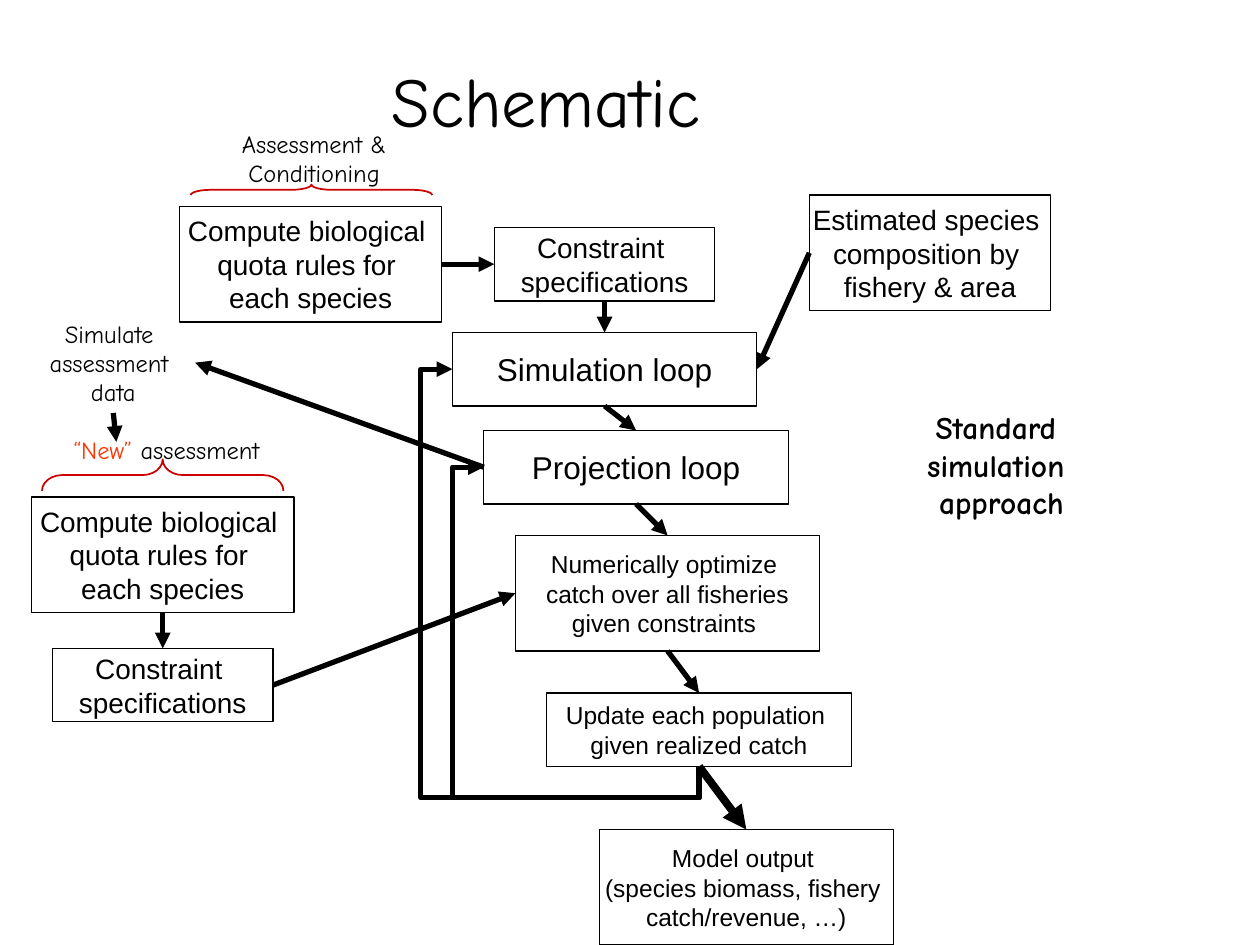
from lxml.etree import SubElement
from pptx import Presentation
from pptx.dml.color import RGBColor
from pptx.enum.shapes import MSO_CONNECTOR, MSO_SHAPE
from pptx.enum.text import MSO_ANCHOR, MSO_AUTO_SIZE, PP_ALIGN
from pptx.oxml.ns import qn
from pptx.util import Pt

COLORS = {"ink": "000000", "brace": "CC0000", "new": "FF3300"}
TOP, LEFT, BOTTOM, RIGHT = range(4)
QUOTA_RULES = "Compute biological \nquota rules for \neach species"
CONSTRAINTS = "Constraint \vspecifications"


def color(name):
    return RGBColor.from_string(COLORS[name])


def format_text(frame, size, font, bold=False):
    for paragraph in frame.paragraphs:
        paragraph.alignment = PP_ALIGN.CENTER
        for run in paragraph.runs:
            run.font.size = Pt(size)
            run.font.name = font
            run.font.bold = bold
            run.font.color.rgb = color("ink")


def add_step(slide, text, left, top, width, height, size):
    step = slide.shapes.add_shape(
        MSO_SHAPE.RECTANGLE, Pt(left), Pt(top), Pt(width), Pt(height))
    step.shadow.inherit = False
    step.fill.background()
    step.line.color.rgb = color("ink")
    step.line.width = Pt(0.75)
    frame = step.text_frame
    frame.text = text
    frame.word_wrap = False
    frame.vertical_anchor = MSO_ANCHOR.MIDDLE
    format_text(frame, size, "Arial")
    return step


def add_label(slide, text, left, top, width, height, size=14, bold=False):
    label = slide.shapes.add_textbox(Pt(left), Pt(top), Pt(width), Pt(height))
    frame = label.text_frame
    frame.text = text
    frame.word_wrap = False
    frame.auto_size = MSO_AUTO_SIZE.SHAPE_TO_FIT_TEXT
    format_text(frame, size, "Comic Neue", bold)
    return label


def add_brace(slide, left, top, width, height, curl):
    brace = slide.shapes.add_shape(
        MSO_SHAPE.RIGHT_BRACE, Pt(left), Pt(top), Pt(width), Pt(height))
    brace.shadow.inherit = False
    brace.fill.background()
    brace.line.color.rgb = color("brace")
    brace.line.width = Pt(1)
    brace.rotation = 90
    brace.adjustments[0] = curl
    brace.adjustments[1] = 0.5
    frame = brace.element.spPr.find(qn("a:xfrm"))
    frame.set("flipH", "1")
    frame.set("flipV", "1")


def style_arrow(arrow, width):
    arrow.line.color.rgb = color("ink")
    arrow.line.width = Pt(width)
    properties = arrow.element.spPr
    SubElement(properties.find(qn("a:ln")), qn("a:tailEnd"), type="triangle")
    SubElement(properties, qn("a:effectLst"))


def add_arrow(slide, source, source_side, target, target_side, width=3):
    arrow = slide.shapes.add_connector(MSO_CONNECTOR.STRAIGHT, 0, 0, 0, 0)
    arrow.begin_connect(source, source_side)
    arrow.end_connect(target, target_side)
    style_arrow(arrow, width)


def add_feedback(slide, source, target, drop, bend_x):
    start_x, start_y = source.left + source.width // 2, source.top + source.height
    end_x, end_y = target.left, target.top + target.height // 2
    rise, run = start_y - end_y, start_x - end_x
    left = (start_x + end_x - rise) // 2
    top = (start_y + end_y - run) // 2
    arrow = slide.shapes.add_connector(
        MSO_CONNECTOR.ELBOW, left, top + run, left + rise, top)
    properties = arrow.element.spPr
    properties.find(qn("a:xfrm")).set("rot", str(270 * 60000))
    geometry = properties.find(qn("a:prstGeom"))
    geometry.set("prst", "bentConnector4")
    guides = geometry.find(qn("a:avLst"))
    if guides is None:
        guides = SubElement(geometry, qn("a:avLst"))
    bends = (-Pt(drop) / rise, (start_x - Pt(bend_x)) / run)
    for number, bend in enumerate(bends, 1):
        SubElement(guides, qn("a:gd"), name=f"adj{number}",
                   fmla=f"val {round(bend * 100000)}")
    style_arrow(arrow, 3)


def add_title(slide):
    title = slide.shapes.title
    title.left, title.top, title.width, title.height = Pt(-48), Pt(12), Pt(720), Pt(90)
    title.text_frame.text = "Schematic"
    title.text_frame.vertical_anchor = MSO_ANCHOR.MIDDLE
    format_text(title.text_frame, 40, "Comic Neue")


def main():
    deck = Presentation()
    deck.slide_width, deck.slide_height = Pt(720), Pt(540)
    slide = deck.slides.add_slide(deck.slide_layouts[5])
    add_title(slide)

    simulation = add_step(slide, "Simulation loop", 258.5, 190, 174, 42, 18)
    projection = add_step(slide, "Projection loop", 276.5, 246, 174, 42, 18)
    optimize = add_step(
        slide, "Numerically optimize \ncatch over all fisheries\ngiven constraints ",
        294.5, 306, 174, 66, 14)
    update = add_step(
        slide, "Update each population \vgiven realized catch", 312.5, 396, 174, 42, 14)
    output = add_step(
        slide, "Model output \n(species biomass, fishery \vcatch/revenue, …)",
        342.5, 474, 168, 66, 14)
    composition = add_step(
        slide, "Estimated species \vcomposition by \vfishery & area",
        462.5, 111.5, 138, 66, 16)
    quota = add_step(slide, QUOTA_RULES, 102.5, 118, 150, 66, 16)
    constraints = add_step(slide, CONSTRAINTS, 282.5, 130, 126, 42, 16)
    new_quota = add_step(slide, QUOTA_RULES, 18, 284, 150, 66, 16)
    new_constraints = add_step(slide, CONSTRAINTS, 30, 370.5, 126, 42, 16)

    add_label(slide, "Assessment &\nConditioning", 126.5, 70, 106, 41)
    simulate = add_label(slide, "Simulate \nassessment \ndata", 18, 178.5, 93.5, 57.5)
    add_label(slide, "Standard \nsimulation \napproach", 519, 229.5, 106.5, 72, 18, True)
    assessment = add_label(slide, "“New” ", 29, 245, 132.5, 24)
    heading = assessment.text_frame.paragraphs[0]
    heading.add_run().text = "assessment"
    format_text(assessment.text_frame, 14, "Comic Neue")
    heading.runs[0].font.color.rgb = color("new")

    add_brace(slide, 175, 39.5, 6, 138, 1.92)
    add_brace(slide, 84, 202.5, 18, 138, 0.64)

    for bend_x, loop in ((258.5, projection), (240.5, simulation)):
        add_feedback(slide, update, loop, 18, bend_x)
    for upper, lower in (
            (constraints, simulation), (simulation, projection),
            (projection, optimize), (optimize, update),
            (new_quota, new_constraints)):
        add_arrow(slide, upper, BOTTOM, lower, TOP)
    add_arrow(slide, update, BOTTOM, output, TOP, 4.5)
    add_arrow(slide, quota, RIGHT, constraints, LEFT)
    add_arrow(slide, composition, LEFT, simulation, RIGHT)
    add_arrow(slide, new_constraints, RIGHT, optimize, LEFT)
    add_arrow(slide, projection, LEFT, simulate, RIGHT)
    reassess = slide.shapes.add_connector(
        MSO_CONNECTOR.STRAIGHT, Pt(64.75), Pt(236), Pt(66.5), Pt(252.5))
    reassess.begin_connect(simulate, BOTTOM)
    style_arrow(reassess, 3)

    deck.save("out.pptx")


if __name__ == "__main__":
    main()
